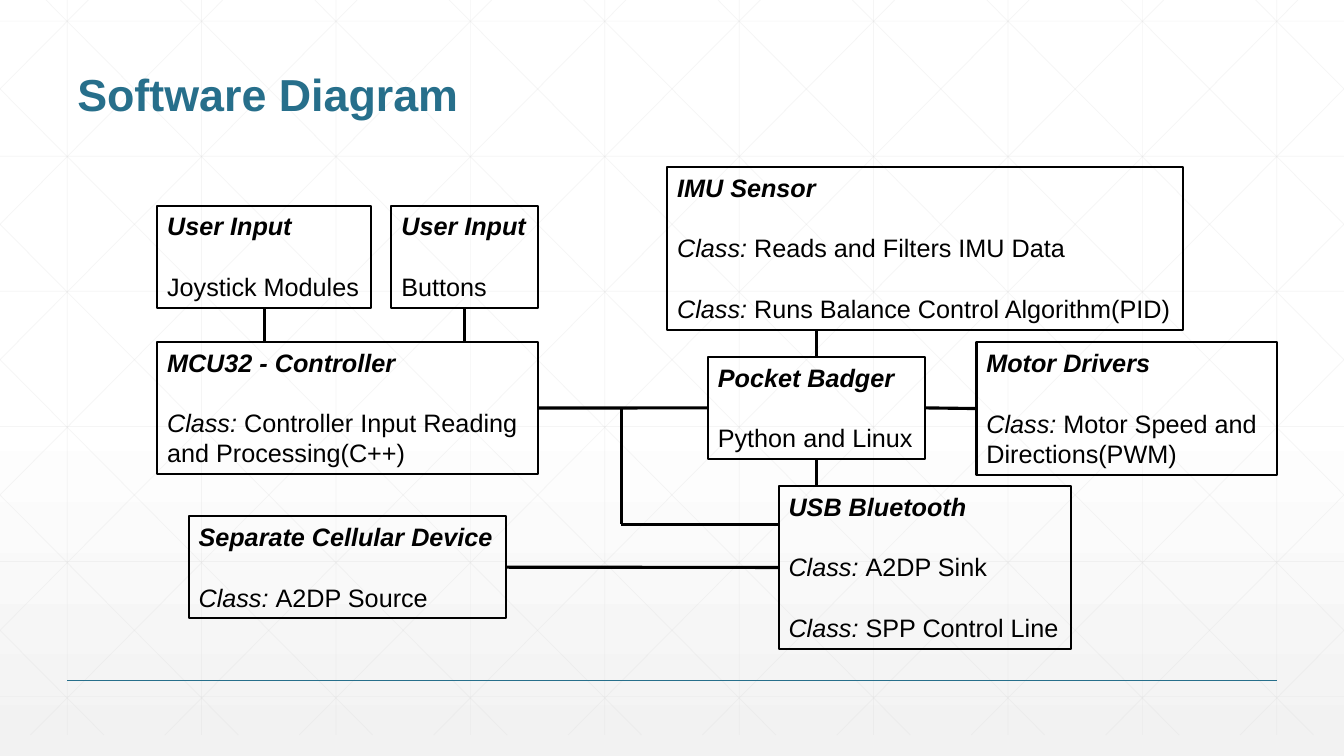
from dataclasses import dataclass

from lxml import etree
from pptx import Presentation
from pptx.dml.color import RGBColor
from pptx.enum.shapes import MSO_CONNECTOR, MSO_SHAPE
from pptx.enum.text import MSO_ANCHOR, PP_ALIGN
from pptx.oxml.ns import qn
from pptx.util import Pt

STRAIGHT, RECTANGLE = MSO_CONNECTOR.STRAIGHT, MSO_SHAPE.RECTANGLE
TOP, BOTTOM, LEFT_ALIGN = MSO_ANCHOR.TOP, MSO_ANCHOR.BOTTOM, PP_ALIGN.LEFT
TOP_SIDE, LEFT_SIDE, BOTTOM_SIDE, RIGHT_SIDE = range(4)

# Content: key -> (left, top, width, height), heading, sections of (label, lines)
TITLE = "Software Diagram"
BOXES = {
    "joystick": ((112.3, 147, 152.7, 72.7), "User Input", [("", ["Joystick Modules"])]),
    "buttons": ((279.6, 147, 104.6, 72.7), "User Input", [("", ["Buttons"])]),
    "controller": ((112.3, 244.2, 272, 94.5), "MCU32 - Controller",
                   [("Class: ", ["Controller Input Reading", "and Processing(C++)"])]),
    "imu": ((476.6, 119.2, 368.6, 116.3), "IMU Sensor",
            [("Class: ", ["Reads and Filters IMU Data"]),
             ("Class: ", ["Runs Balance Control Algorithm(PID)"])]),
    "motors": ((697.5, 244.6, 214.6, 94.5), "Motor Drivers",
               [("Class: ", ["Motor Speed and", "Directions(PWM)"])]),
    "board": ((505.7, 255, 155, 72.7), "Pocket Badger", [("", ["Python and Linux"])]),
    "bluetooth": ((556.2, 347.2, 208.8, 116.3), "USB Bluetooth",
                  [("Class: ", ["A2DP Sink"]), ("Class: ", ["SPP Control Line"])]),
    "cellular": ((134.8, 368.8, 226.6, 72.7), "Separate Cellular Device",
                 [("Class: ", ["A2DP Source"])]),
}
# Each end is (box, side), or one box reached straight from the other end
LINKS = [
    (("joystick", BOTTOM_SIDE), "controller"),
    (("buttons", BOTTOM_SIDE), "controller"),
    (("cellular", RIGHT_SIDE), ("bluetooth", LEFT_SIDE)),
    (("controller", RIGHT_SIDE), ("board", LEFT_SIDE)),
    (("board", RIGHT_SIDE), ("motors", LEFT_SIDE)),
    (("board", TOP_SIDE), "imu"),
    (("board", BOTTOM_SIDE), "bluetooth"),
]
BRANCH_X, BRANCH_TOP, BRANCH_BOTTOM = 443.8, 291.4, 374.6

# Page and background grid
WIDTH, HEIGHT = 960, 540
GRID_BOTTOM, GRID_STEP = 525, 96
GRID_LEFT, GRID_TOP, ROW_STEP = 48, 15.1, 96.5
DIAGONAL_LEFT, DIAGONAL_TOP, DIAGONAL_RUN = 18, -15, 0.993
FOOTER_Y, MARGIN = 486, 48


@dataclass(frozen=True)
class Theme:
    font: str = "Arial"
    title_size: int = 32
    body_size: int = 18
    section_gap: float = 21.7
    accent: RGBColor = RGBColor(0x27, 0x6F, 0x8B)
    ink: RGBColor = RGBColor(0, 0, 0)
    grid: RGBColor = RGBColor(0xD9, 0xD9, 0xD9)
    white: RGBColor = RGBColor(0xFF, 0xFF, 0xFF)
    shade: RGBColor = RGBColor(0xF2, 0xF2, 0xF2)
    grid_alpha: int = 25000


THEME = Theme()


def set_font(font, size, color, bold=False):
    font.name, font.size, font.bold = THEME.font, Pt(size), bold
    font.color.rgb = color


def add_line(slide, start, end, color, weight):
    line = slide.shapes.add_connector(STRAIGHT, *map(Pt, (*start, *end)))
    line.line.color.rgb = color
    line.line.width = Pt(weight)
    etree.SubElement(line._element.spPr, qn("a:effectLst"))
    return line


def add_grid(slide):
    columns = [GRID_LEFT + GRID_STEP * i for i in range(10)]
    rows = [GRID_TOP + ROW_STEP * i for i in range(6)]
    segments = [((x, 0), (x, GRID_BOTTOM)) for x in columns]
    segments += [((0, y), (WIDTH, y)) for y in rows]
    # Diagonals are clipped to the page and mirrored
    for i in range(-5, 10):
        x = DIAGONAL_LEFT + GRID_STEP * i
        top = max(0, DIAGONAL_TOP - x / DIAGONAL_RUN)
        bottom = min(GRID_BOTTOM, DIAGONAL_TOP + (WIDTH - x) / DIAGONAL_RUN)
        ends = [(x + (y - DIAGONAL_TOP) * DIAGONAL_RUN, y) for y in (top, bottom)]
        segments += [ends, [(WIDTH - end_x, y) for end_x, y in ends]]
    for start, end in segments:
        line = add_line(slide, start, end, THEME.grid, 0.5)
        color = line._element.spPr.find(".//" + qn("a:srgbClr"))
        etree.SubElement(color, qn("a:alpha"), val=str(THEME.grid_alpha))


def add_box(slide, bounds, heading, sections):
    box = slide.shapes.add_shape(RECTANGLE, *map(Pt, bounds))
    box.shadow.inherit = False
    box.fill.background()
    box.line.color.rgb = THEME.ink
    box.line.width = Pt(1.5)
    frame = box.text_frame
    frame.word_wrap, frame.vertical_anchor = True, TOP
    first = frame.paragraphs[0]
    first.text, first.alignment = heading, LEFT_ALIGN
    set_font(first.font, THEME.body_size, THEME.ink, bold=True)
    first.font.italic = True
    for label, lines in sections:
        for i, words in enumerate(lines):
            paragraph = frame.add_paragraph()
            paragraph.alignment = LEFT_ALIGN
            set_font(paragraph.font, THEME.body_size, THEME.ink)
            if i == 0:
                paragraph.space_before = Pt(THEME.section_gap)
                if label:
                    tag = paragraph.add_run()
                    tag.text, tag.font.italic = label, True
            paragraph.add_run().text = words
    return box


def side_middle(bounds, side):
    left, top, width, height = bounds
    return [(left + width / 2, top), (left, top + height / 2),
            (left + width / 2, top + height), (left + width, top + height / 2)][side]


def add_link(slide, boxes, source, target):
    name, side = source
    start = side_middle(BOXES[name][0], side)
    if isinstance(target, str):
        _, top, _, height = BOXES[target][0]
        end = (start[0], top if side == BOTTOM_SIDE else top + height)
    else:
        end = side_middle(BOXES[target[0]][0], target[1])
    link = add_line(slide, start, end, THEME.ink, 2.25)
    link.begin_connect(boxes[name], side)
    if not isinstance(target, str):
        link.end_connect(boxes[target[0]], target[1])


def main():
    deck = Presentation()
    deck.slide_width, deck.slide_height = Pt(WIDTH), Pt(HEIGHT)
    slide = deck.slides.add_slide(deck.slide_layouts[5])

    # Background
    fill = slide.background.fill
    fill.gradient()
    fill.gradient_angle = 270
    for stop, color, position in zip(fill.gradient_stops, (THEME.white, THEME.shade), (0.53, 1)):
        stop.color.rgb, stop.position = color, position
    add_grid(slide)
    add_line(slide, (MARGIN, FOOTER_Y), (WIDTH - MARGIN, FOOTER_Y), THEME.accent, 1)

    # Title, in front of the grid
    title = slide.shapes.title
    slide.shapes._spTree.append(title._element)
    title.left, title.top, title.width, title.height = map(Pt, (MARGIN, 18, WIDTH - 2 * MARGIN, 72))
    title.text_frame.text = TITLE
    title.text_frame.vertical_anchor = BOTTOM
    heading = title.text_frame.paragraphs[0]
    heading.alignment, heading.line_spacing = LEFT_ALIGN, 0.9
    set_font(heading.font, THEME.title_size, THEME.accent, bold=True)

    # Boxes and links
    boxes = {key: add_box(slide, *content) for key, content in BOXES.items()}
    for source, target in LINKS:
        add_link(slide, boxes, source, target)

    # Branch from the controller line to the Bluetooth box
    corner = (BRANCH_X, BRANCH_BOTTOM)
    add_line(slide, (BRANCH_X, BRANCH_TOP), corner, THEME.ink, 2.25)
    add_line(slide, corner, (BOXES["bluetooth"][0][0], BRANCH_BOTTOM), THEME.ink, 2.25)

    deck.save("out.pptx")


if __name__ == "__main__":
    main()
